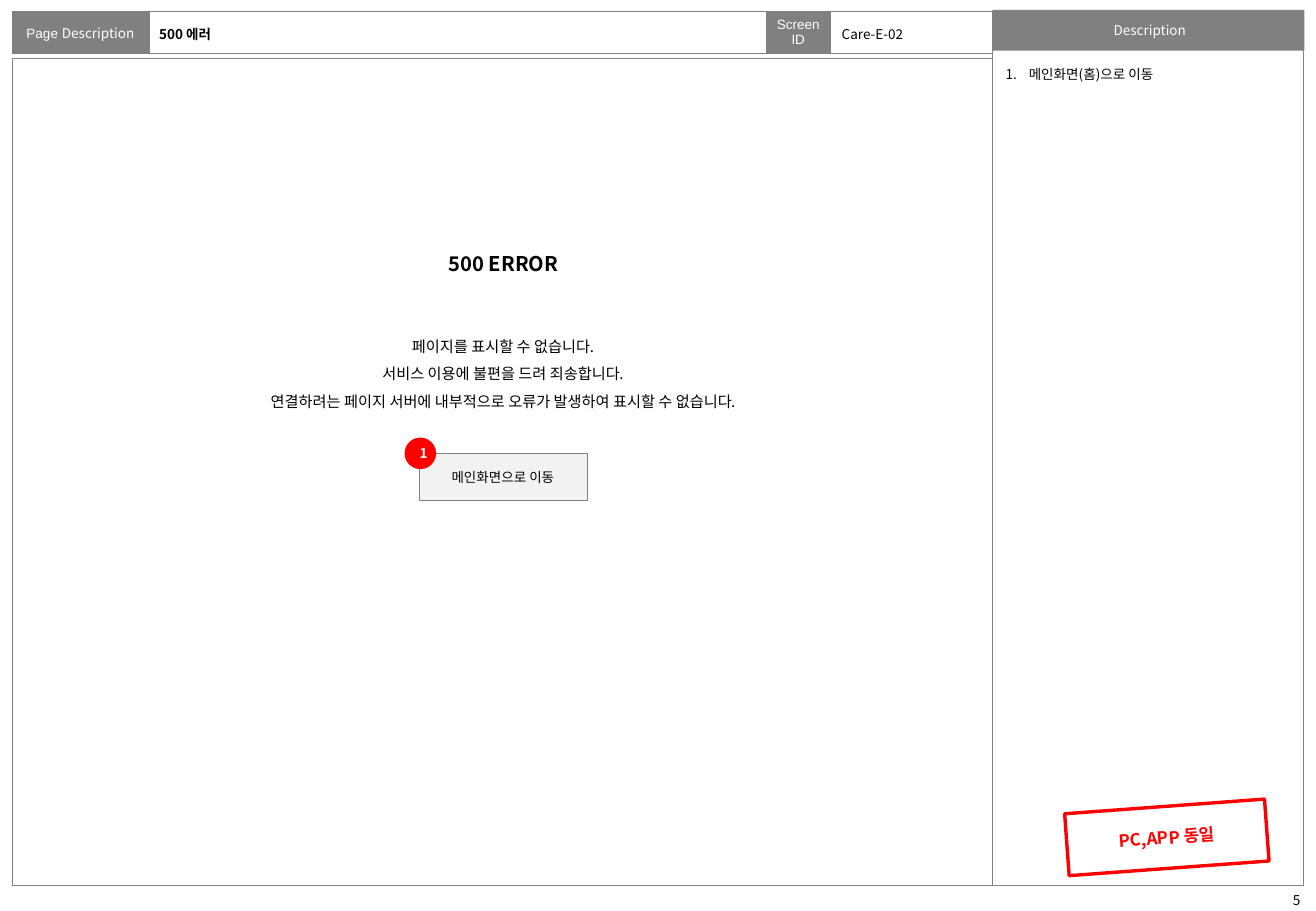
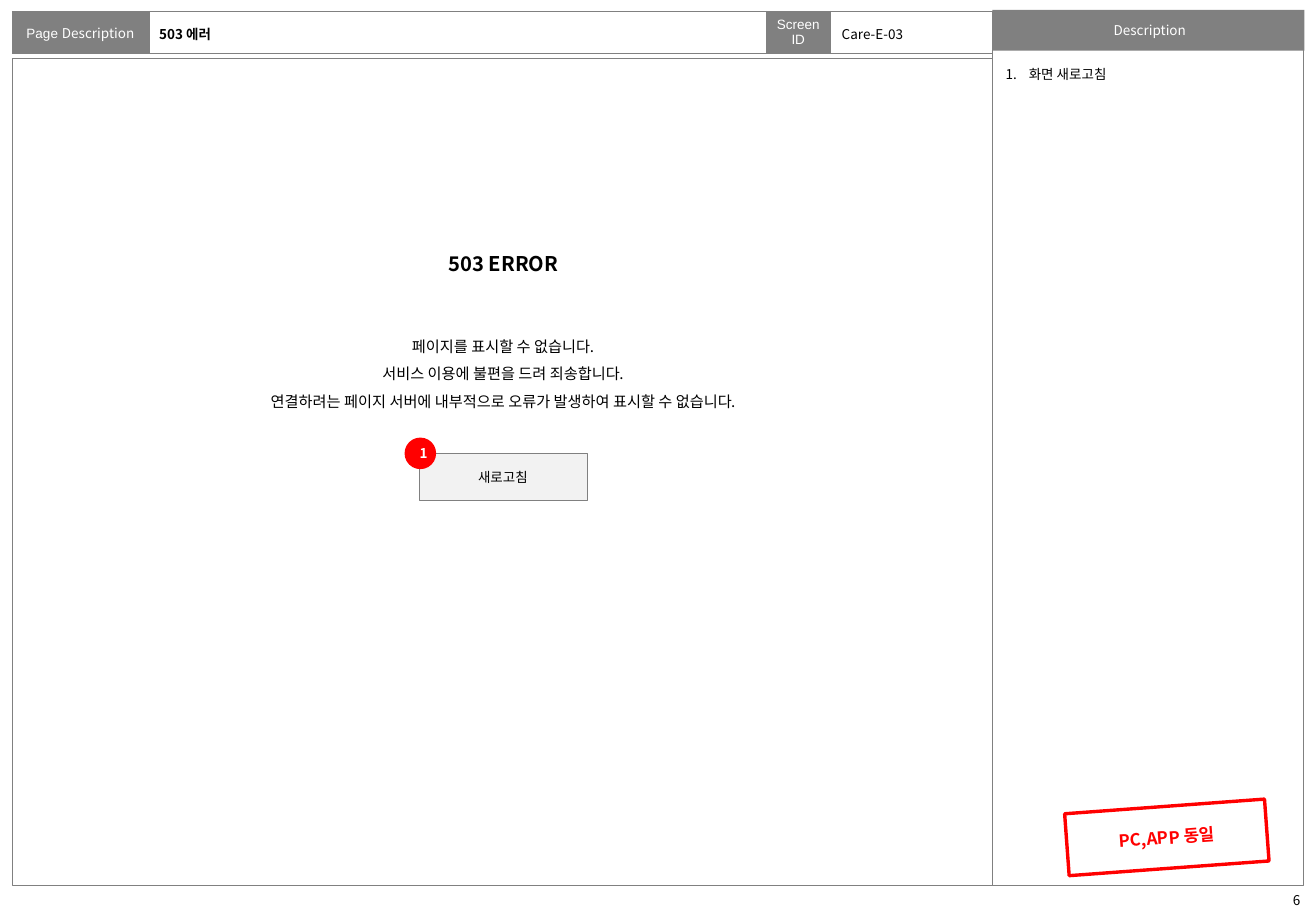
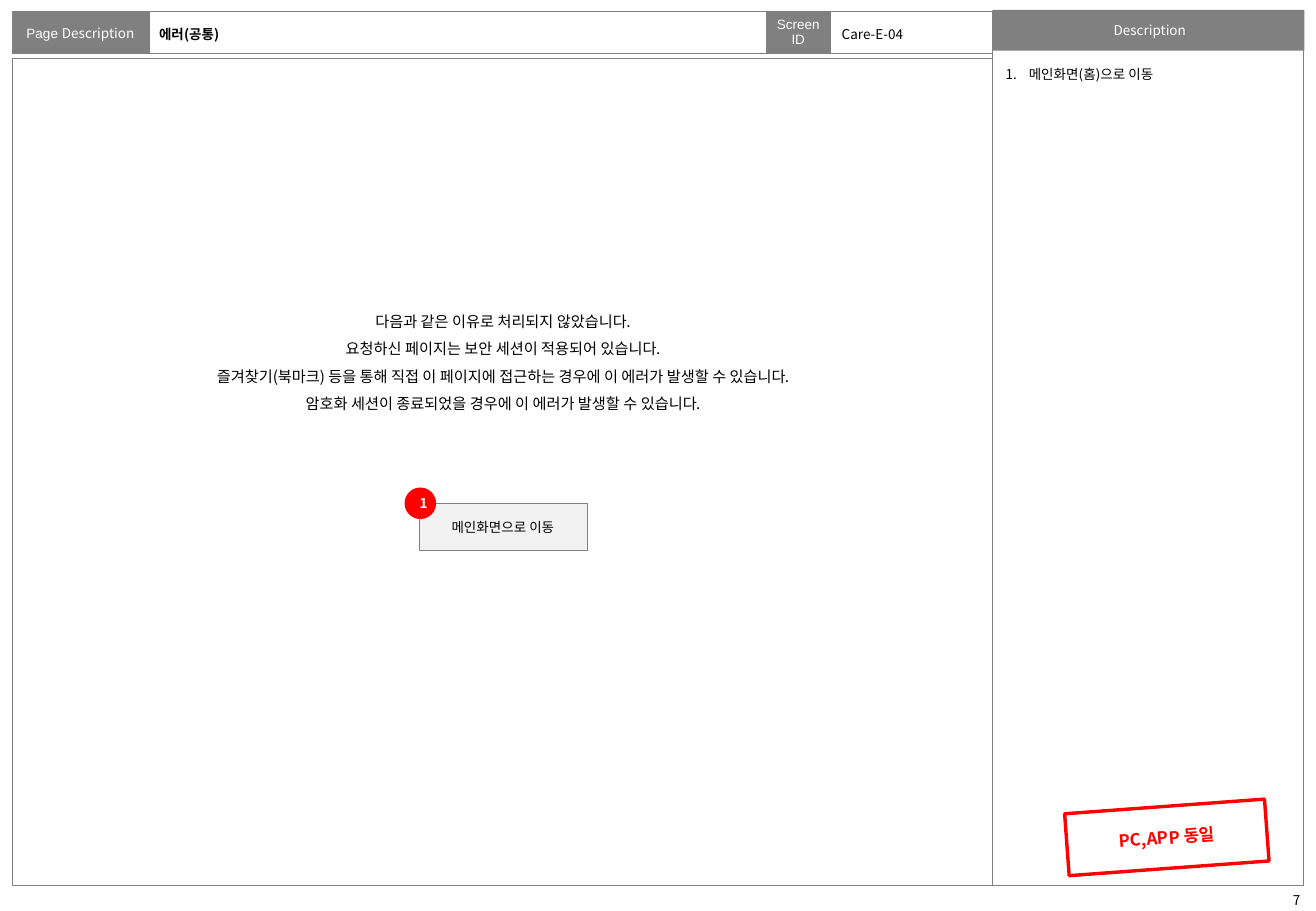
"""Build the error page storyboard slides."""
from lxml.etree import SubElement
from pptx import Presentation
from pptx.dml.color import RGBColor
from pptx.enum.shapes import MSO_SHAPE
from pptx.enum.text import MSO_ANCHOR, MSO_AUTO_SIZE, PP_ALIGN
from pptx.oxml.ns import qn
from pptx.util import Pt

RECT, OVAL = MSO_SHAPE.RECTANGLE, MSO_SHAPE.OVAL
LEFT, MID = PP_ALIGN.LEFT, PP_ALIGN.CENTER
TOP, HALF = MSO_ANCHOR.TOP, MSO_ANCHOR.MIDDLE
FIXED = MSO_AUTO_SIZE.NONE
KOR, LATIN = "Noto Sans CJK KR", "Arial"
GREY, PALE, WHITE, BLACK, RED = "808080", "F2F2F2", "FFFFFF", "000000", "FF0000"
HAIR = 0.25
INSET = (7.2, 3.6)
EDGE, SPLIT = 7.2, 588.2
COLS = (81, 366, 38, 96)
WIDE = sum(COLS)


def color(code):
    return RGBColor.from_string(code)


class Sheet:
    def __init__(self, deck):
        self.slide = deck.slides.add_slide(deck.slide_layouts[5])
        self.shapes = self.slide.shapes

    def run(self, para, text, size=8, ink=BLACK, bold=False, face=KOR):
        run = para.add_run()
        run.text = text
        font = run.font
        font.size, font.bold, font.name = Pt(size), bold, face
        font.color.rgb = color(ink)
        SubElement(font._element, qn("a:ea"), typeface=face)

    def fill_text(self, frame, lines, align=LEFT, anchor=TOP, inset=INSET,
                  wrap=True, space=None, before=0, **font):
        frame.auto_size = FIXED
        frame.word_wrap = wrap
        frame.vertical_anchor = anchor
        frame.margin_left = frame.margin_right = Pt(inset[0])
        frame.margin_top = frame.margin_bottom = Pt(inset[1])
        for i, line in enumerate(lines):
            para = frame.add_paragraph() if i else frame.paragraphs[0]
            para.alignment, para.space_before = align, Pt(before)
            para.line_spacing = space
            self.run(para, line, **font)

    def text(self, box, lines, **style):
        item = self.shapes.add_textbox(*map(Pt, box))
        self.fill_text(item.text_frame, lines, **style)
        return item

    def shape(self, box, kind=RECT, fill=None, line=None, width=HAIR,
              label=None, **style):
        item = self.shapes.add_shape(kind, *map(Pt, box))
        item.shadow.inherit = False
        if fill:
            item.fill.solid()
            item.fill.fore_color.rgb = color(fill)
        else:
            item.fill.background()
        if line:
            item.line.color.rgb = color(line)
            item.line.width = Pt(width)
        else:
            item.line.fill.background()
        if label:
            self.fill_text(item.text_frame, [label], align=MID, anchor=HALF, **style)
        return item

    def title(self, text):
        item = self.shapes.title
        item.left, item.top, item.width, item.height = map(Pt, (91.4, 9.4, 360.7, 21.6))
        self.fill_text(item.text_frame, [text], anchor=HALF, inset=(2.88, 3.6), bold=True)
        item.element.getparent().append(item.element)

    def cell(self, cell, runs):
        cell.margin_left = cell.margin_right = Pt(2.88)
        cell.margin_top = cell.margin_bottom = 0
        cell.vertical_anchor = HALF
        props = cell._tc.get_or_add_tcPr()
        for side in "LRTB":
            line = SubElement(props, qn("a:ln" + side), w=str(Pt(HAIR)))
            SubElement(SubElement(line, qn("a:solidFill")), qn("a:srgbClr"), val=GREY)
        cell.fill.solid()
        cell.fill.fore_color.rgb = color(GREY if runs else WHITE)
        para = cell.text_frame.paragraphs[0]
        para.alignment = MID
        for text, face in runs:
            self.run(para, text, ink=WHITE, face=face)

    def bar(self):
        box = map(Pt, (EDGE, 6.6, WIDE, 25))
        table = self.shapes.add_table(1, len(COLS), *box).table
        table.first_row = table.horz_banding = False
        heads = ([("Page ", LATIN), ("Description", KOR)], [], [("Screen ID", LATIN)], [])
        for i, (width, runs) in enumerate(zip(COLS, heads)):
            table.columns[i].width = Pt(width)
            self.cell(table.cell(0, i), runs)

    def frame(self, title, code, page):
        self.bar()
        self.shape((EDGE, 34.6, WIDE, 490.4), line=GREY)
        self.shape((SPLIT, 28, 184.3, 497), line=GREY)
        self.shape((SPLIT, 5.8, 185, 24.2), fill=GREY, label=" Description",
                   inset=(0, 0), wrap=False, ink=WHITE)
        self.text((756, 525, 25.2, 14.4), [str(page)], align=MID)
        self.title(title)
        self.text((491.8, 9.4, 93.6, 21.6), [code], anchor=HALF, before=1.6)

    def notes(self, lines):
        item = self.text((589, 31, 183.6, 496.8), lines, space=1.5, before=1.6)
        for para in item.text_frame.paragraphs:
            props = para._p.get_or_add_pPr()
            props.set("marL", str(Pt(13.7)))
            props.set("indent", str(-Pt(13.7)))
            SubElement(props, qn("a:buFont"), typeface="+mj-lt")
            SubElement(props, qn("a:buAutoNum"), type="arabicPeriod")

    def stamp(self, label):
        item = self.shape((632.2, 478, 118.8, 36.8), fill=WHITE, line=RED, width=2,
                          label=label, size=10, ink=RED, bold=True)
        item.rotation = -4.2

    def button(self, top, label):
        self.shape((248.4, top, 99.4, 28.2), fill=PALE, line=GREY, label=label)
        self.shape((239.8, top - 9.2, 18.7, 18.7), kind=OVAL, fill=RED,
                   label="1", ink=WHITE, bold=True)


HOME, GO = "메인화면(홈)으로 이동", "메인화면으로 이동"
FAIL = ["페이지를 표시할 수 없습니다.",
        "서비스 이용에 불편을 드려 죄송합니다.",
        "연결하려는 페이지 서버에 내부적으로 오류가 발생하여 표시할 수 없습니다."]
LOCK = ["다음과 같은 이유로 처리되지 않았습니다.",
        "요청하신 페이지는 보안 세션이 적용되어 있습니다.",
        "즐겨찾기(북마크) 등을 통해 직접 이 페이지에 접근하는 경우에 이 에러가 발생할 수 있습니다.",
        "암호화 세션이 종료되었을 경우에 이 에러가 발생할 수 있습니다."]
PAGES = [
    ("500 에러", "Care-E-02", HOME, "500 ERROR", FAIL, 190.8, GO, 268.6),
    ("503 에러", "Care-E-03", "화면 새로고침", "503 ERROR", FAIL, 190.8, "새로고침", 268.6),
    ("에러(공통)", "Care-E-04", HOME, None, LOCK, 176.2, GO, 298.2),
]

deck = Presentation()
deck.slide_width, deck.slide_height = Pt(780), Pt(540)
for page, (title, code, note, head, lines, top, label, low) in enumerate(PAGES, 5):
    sheet = Sheet(deck)
    sheet.frame(title, code, page)
    sheet.notes([note])
    sheet.stamp("PC,APP 동일")
    sheet.text((EDGE, top, 581.8, 18 * len(lines)), lines, align=MID, space=1.5, size=9)
    if head:
        sheet.text((258.5, 145.4, 80, 21.6), [head], align=MID, wrap=False,
                   size=12, bold=True)
    sheet.button(low, label)
deck.save("out.pptx")
